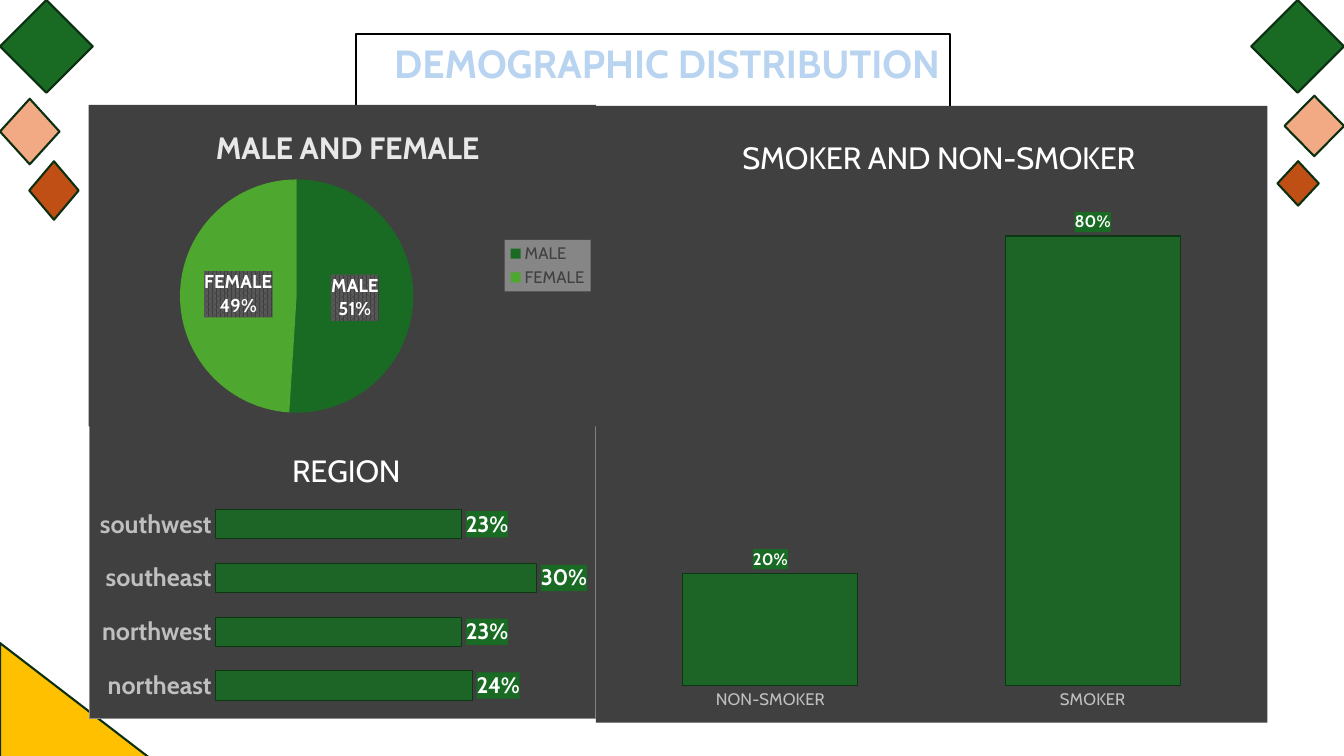
from dataclasses import dataclass

from lxml import etree
from pptx import Presentation
from pptx.chart.data import CategoryChartData
from pptx.dml.color import RGBColor
from pptx.enum.chart import XL_CHART_TYPE, XL_LABEL_POSITION, XL_LEGEND_POSITION, XL_TICK_MARK
from pptx.enum.dml import MSO_PATTERN
from pptx.enum.shapes import MSO_SHAPE
from pptx.enum.text import MSO_ANCHOR, MSO_AUTO_SIZE, PP_ALIGN
from pptx.oxml import parse_xml
from pptx.oxml.ns import nsdecls, qn
from pptx.util import Inches, Pt

DIAMOND, TRIANGLE = MSO_SHAPE.DIAMOND, MSO_SHAPE.RIGHT_TRIANGLE
PIE, BAR, COLUMN = XL_CHART_TYPE.PIE, XL_CHART_TYPE.BAR_CLUSTERED, XL_CHART_TYPE.COLUMN_CLUSTERED
OUTSIDE, CENTER = XL_LABEL_POSITION.OUTSIDE_END, XL_LABEL_POSITION.CENTER


@dataclass(frozen=True)
class Theme:
    font: str = "Cabin"
    green: str = "196B24"
    light_green: str = "4EA72E"
    peach: str = "F2AA84"
    rust: str = "C04F15"
    gold: str = "FFC000"
    edge: str = "0B2F10"
    bar_edge: str = "0D3612"
    panel: str = "404040"
    panel_light: str = "595959"
    border: str = "8C8C8C"
    legend: str = "868686"
    axis: str = "BFBFBF"
    soft_white: str = "E8E8E8"
    white: str = "FFFFFF"
    black: str = "000000"
    navy: str = "0E2841"
    title_blue: str = "B8D4F0"
    title_edge: str = "0B1E31"
    title_size: float = 28
    heading_size: float = 22
    base_size: float = 10
    small_size: float = 11.9


THEME = Theme()
WIDTH, HEIGHT = 13.33, 7.5
TITLE = "DEMOGRAPHIC DISTRIBUTION"
TITLE_BOX = (3.53, 0.34, 5.89, 0.57)
LEFT, SPLIT, PANEL_WIDTH = 0.88, 5.91, 5.03

ORNAMENTS = [
    (DIAMOND, THEME.green, (0, 0, 0.92, 0.92)),
    (DIAMOND, THEME.rust, (0.29, 1.6, 0.49, 0.58)),
    (DIAMOND, THEME.peach, (0, 0.98, 0.59, 0.65)),
    (DIAMOND, THEME.rust, (12.67, 1.6, 0.41, 0.44)),
    (DIAMOND, THEME.peach, (WIDTH - 0.59, 0.95, 0.59, 0.6)),
    (DIAMOND, THEME.green, (WIDTH - 0.92, 0, 0.92, 0.92)),
    (TRIANGLE, THEME.gold, (0, 6.38, 1.51, 1.16)),
]

CHARTS = [
    dict(kind=BAR, title="REGION", box=(LEFT, 4.2, PANEL_WIDTH, 2.93),
         data={"northeast": 0.24, "northwest": 0.23, "southeast": 0.3, "southwest": 0.23},
         title_at=(0.39, 0.07), plot_at=(0.25, 0.25, 0.74, 0.73), top=0.35,
         axis_size=18, axis_bold=True, label_size=16, border=THEME.border),
    dict(kind=PIE, title="MALE AND FEMALE", box=(LEFT, 1.04, PANEL_WIDTH, 3.19),
         data={"MALE": 51, "FEMALE": 49},
         title_at=(0.24, 0.05), plot_at=(0.18, 0.23, 0.46, 0.73),
         legend_at=(0.82, 0.42, 0.17, 0.16), label_size=13.3,
         title_color=THEME.soft_white, title_bold=True),
    dict(kind=COLUMN, title="SMOKER AND NON-SMOKER", box=(SPLIT, 1.05, 6.66, 6.12),
         data={"NON-SMOKER": 0.2, "SMOKER": 0.8},
         title_at=(0.21, 0.04), plot_at=(0.02, 0.12, 0.96, 0.82), top=0.9,
         axis_size=THEME.small_size, axis_bold=False, label_size=THEME.small_size),
]


def color(value):
    return RGBColor.from_string(value)


def inches(box):
    return [Inches(length) for length in box]


def style_font(font, size, value, bold=False):
    font.name, font.size, font.bold = THEME.font, Pt(size), bold
    font.color.rgb = color(value)


def paint(target, fill, line, width):
    target.fill.solid()
    target.fill.fore_color.rgb = color(fill)
    target.line.color.rgb = color(line)
    target.line.width = Pt(width)


def solid(value):
    return f'<a:solidFill><a:srgbClr val="{value}"/></a:solidFill>'


def panel_format(fill, border=None):
    line = f'<a:ln w="6350">{solid(border)}</a:ln>' if border else "<a:ln><a:noFill/></a:ln>"
    return parse_xml(f'<c:spPr {nsdecls("c", "a")}>{fill}{line}</c:spPr>')


def place(element, box, after=None, inner=False):
    for old in element.findall(qn("c:layout")):
        element.remove(old)
    layout = etree.Element(qn("c:layout"))
    manual = etree.SubElement(layout, qn("c:manualLayout"))
    values = [("layoutTarget", "inner")] if inner else []
    values += [("xMode", "edge"), ("yMode", "edge")] + list(zip("xywh", box))
    for name, value in values:
        etree.SubElement(manual, qn(f"c:{name}")).set("val", str(value))
    element.insert(0, layout)
    if after is not None:
        after.addnext(layout)


def add_title(slide):
    title = slide.shapes.title
    title.left, title.top, title.width, title.height = inches(TITLE_BOX)
    paint(title, THEME.white, THEME.black, 1.5)
    frame = title.text_frame
    frame.text = TITLE
    frame.word_wrap = False
    frame.auto_size = MSO_AUTO_SIZE.SHAPE_TO_FIT_TEXT
    frame.vertical_anchor = MSO_ANCHOR.TOP
    paragraph = frame.paragraphs[0]
    paragraph.alignment = PP_ALIGN.RIGHT
    run = paragraph.runs[0]
    font = run.font
    font.name, font.size, font.bold = THEME.font, Pt(THEME.title_size), True
    font.fill.patterned()
    font.fill.pattern = MSO_PATTERN.DARK_UPWARD_DIAGONAL
    font.fill.fore_color.rgb = color(THEME.navy)
    font.fill.back_color.rgb = color(THEME.title_blue)
    outline = f'<a:ln {nsdecls("a")} w="12700">{solid(THEME.title_edge)}</a:ln>'
    run.font._element.insert(0, parse_xml(outline))


def add_labels(series, size, is_pie):
    labels = series.data_labels
    style_font(labels.font, size, THEME.white, True)
    labels.number_format, labels.number_format_is_linked = "0%", False
    labels.position = CENTER if is_pie else OUTSIDE
    labels.show_value = not is_pie
    labels.show_percentage = labels.show_category_name = is_pie
    element = labels._element
    fill = solid(THEME.green)
    if is_pie:
        fill = (f'<a:pattFill prst="pct75"><a:fgClr><a:srgbClr val="{THEME.panel}"/></a:fgClr>'
                f'<a:bgClr><a:srgbClr val="{THEME.panel_light}"/></a:bgClr></a:pattFill>')
        separator = etree.Element(qn("c:separator"))
        separator.text = "\n"
        element.find(qn("c:showBubbleSize")).addnext(separator)
    element.find(qn("c:txPr")).addprevious(panel_format(fill))


def style_pie(chart, series, content):
    for index, value in enumerate((THEME.green, THEME.light_green)):
        fill = series.points[index].format.fill
        fill.solid()
        fill.fore_color.rgb = color(value)
    chart.has_legend = True
    legend = chart.legend
    legend.position, legend.include_in_layout = XL_LEGEND_POSITION.RIGHT, False
    style_font(legend.font, THEME.small_size, THEME.panel)
    element = legend._element
    place(element, content["legend_at"], element.find(qn("c:legendPos")))
    element.find(qn("c:txPr")).addprevious(panel_format(solid(THEME.legend)))


def style_bars(chart, series, content):
    chart.has_legend = False
    chart.plots[0].gap_width = 84
    paint(series.format, THEME.green, THEME.bar_edge, 0.75)
    shade = series._element.find(qn("c:spPr")).find(qn("a:solidFill"))[0]
    etree.SubElement(shade, qn("a:alpha")).set("val", "88000")
    axis = chart.category_axis
    axis.major_tick_mark = XL_TICK_MARK.NONE
    axis.format.line.fill.background()
    style_font(axis.tick_labels.font, content["axis_size"], THEME.axis, content["axis_bold"])
    values = chart.value_axis
    values.has_major_gridlines = values.visible = False
    values.minimum_scale, values.maximum_scale = 0, content["top"]
    values.tick_labels.number_format, values.tick_labels.number_format_is_linked = "0%", False


def add_chart(slide, content):
    data = CategoryChartData()
    data.categories = list(content["data"])
    data.add_series("Series 1", list(content["data"].values()))
    chart = slide.shapes.add_chart(content["kind"], *inches(content["box"]), data).chart
    style_font(chart.font, THEME.base_size, THEME.black)
    frame = chart.chart_title.text_frame
    frame.text = content["title"]
    style_font(frame.paragraphs[0].runs[0].font, THEME.heading_size,
               content.get("title_color", THEME.white), content.get("title_bold", False))
    title = chart.chart_title._element
    place(title, content["title_at"], title.find(qn("c:tx")))
    plot, is_pie = chart.plots[0], content["kind"] == PIE
    plot.vary_by_categories = is_pie
    series = plot.series[0]
    (style_pie if is_pie else style_bars)(chart, series, content)
    add_labels(series, content["label_size"], is_pie)
    root = chart._chartSpace
    place(root.chart.plotArea, content["plot_at"], inner=True)
    root.find(qn("c:txPr")).addprevious(panel_format(solid(THEME.panel), content.get("border")))


def main():
    presentation = Presentation()
    presentation.slide_width, presentation.slide_height = inches((WIDTH, HEIGHT))
    slide = presentation.slides.add_slide(presentation.slide_layouts[5])
    for kind, fill, box in ORNAMENTS:
        shape = slide.shapes.add_shape(kind, *inches(box))
        shape.shadow.inherit = False
        paint(shape, fill, THEME.edge, 1.5)
    add_title(slide)
    for content in CHARTS:
        add_chart(slide, content)
    presentation.save("out.pptx")


if __name__ == "__main__":
    main()
